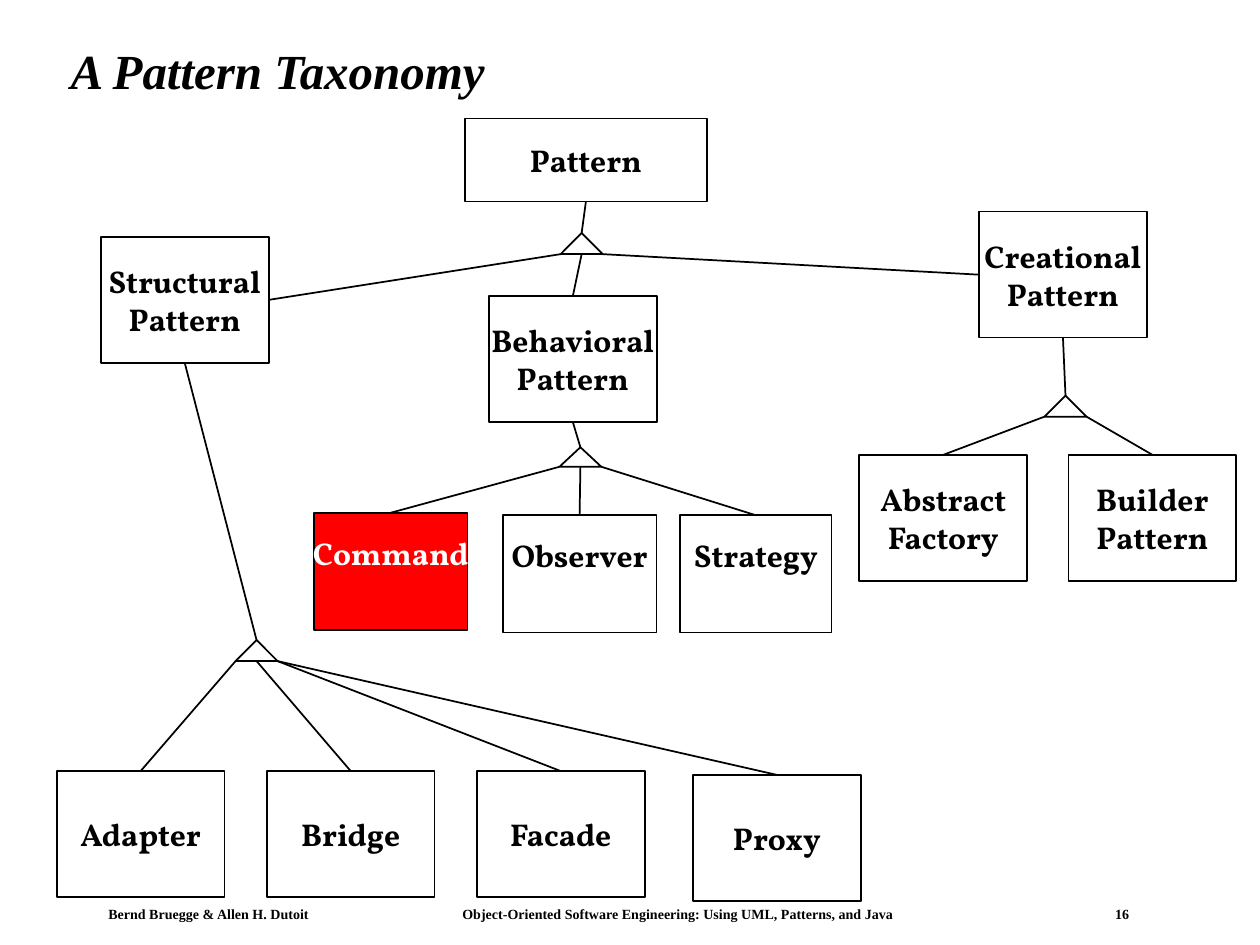
from dataclasses import dataclass

from lxml.etree import SubElement
from pptx import Presentation
from pptx.dml.color import RGBColor
from pptx.enum.shapes import MSO_CONNECTOR, MSO_SHAPE
from pptx.enum.text import MSO_ANCHOR, MSO_AUTO_SIZE, PP_ALIGN
from pptx.oxml.ns import qn
from pptx.util import Inches, Pt

HUES = {"ink": "000000", "paper": "FFFFFF", "mark": "FF0000"}
SERIF, BODY = "Times New Roman", "Vollkorn"
COLS = 100  # columns across the slide; rows have the same size
WIDE, HIGH = Inches(10), Inches(7.5)
TOP, LEFT, BASE, RIGHT = range(4)  # connection sites of a rectangle


@dataclass
class Node:
    text: str
    x: float
    y: float
    w: float = 13.33
    h: float = 10
    fill: str = "paper"
    ink: str = "ink"
    pad: float = 0.5  # inset below the text, in rows


@dataclass
class Fork:
    root: str
    x: float
    y: float
    kids: list[tuple[str, float, int]]  # child, share of the base, child side
    w: float = 3.33
    h: float = 1.67


NODES = [
    Node("Pattern", 36.9, 9.4, 19.2, 6.6),
    Node("Structural\nPattern", 8, 18.8),
    Node("Behavioral\nPattern", 38.8, 23.5),
    Node("Creational\nPattern", 77.7, 16.8),
    *[Node(word, 4.5 + 16.67 * i, 61.2)
      for i, word in enumerate(["Adapter", "Bridge", "Facade"])],
    Node("Proxy", 55, 61.5),
    Node("Command", 24.9, 40.7, 12.2, 9.3, "mark", "paper", 3.5),
    Node("Observer", 39.9, 40.9, 12.2, 9.3, pad=3.5),
    Node("Strategy", 54, 40.9, 12, 9.3, pad=3.5),
    Node("Abstract\nFactory", 68.2, 36.1),
    Node("Builder\nPattern", 84.8, 36.1),
]
FORKS = [
    Fork("Pattern", 44.5, 18.5, [("Structural", 0, RIGHT),
                                 ("Behavioral", 0.5, TOP),
                                 ("Creational", 1, LEFT)]),
    Fork("Structural", 18.7, 50.8, [("Adapter", 0, TOP), ("Bridge", 0.5, TOP),
                                    ("Facade", 1, TOP), ("Proxy", 1, TOP)]),
    Fork("Behavioral", 44.4, 35.5, [("Command", 0, TOP),
                                    ("Observer", 0.5, TOP),
                                    ("Strategy", 1, TOP)], h=1.55),
    Fork("Creational", 82.9, 31.4, [("Abstract", 0, TOP),
                                    ("Builder", 1, TOP)]),
]


def grid(n: float) -> int:
    return round(WIDE * n / COLS)


def tone(name: str) -> RGBColor:
    return RGBColor.from_string(HUES[name])


def style(font, ink: str = "ink", **form) -> None:
    for key, val in {"bold": True, **form}.items():
        setattr(font, key, val)
    font.color.rgb = tone(ink)


def shape(slide, kind, part: Node | Fork, fill: str = "paper"):
    item = slide.shapes.add_shape(kind, *map(grid, (part.x, part.y,
                                                    part.w, part.h)))
    item.shadow.inherit = False
    item.fill.solid()
    item.fill.fore_color.rgb = tone(fill)
    item.line.color.rgb = tone("ink")
    item.line.width = Pt(1)
    return item


def box(slide, node: Node):
    item = shape(slide, MSO_SHAPE.RECTANGLE, node, node.fill)
    frame = item.text_frame
    frame.text = node.text
    form = {"word_wrap": False, "vertical_anchor": MSO_ANCHOR.MIDDLE,
            "margin_bottom": grid(node.pad)}
    for key, val in form.items():
        setattr(frame, key, val)
    for para in frame.paragraphs:
        para.alignment = PP_ALIGN.CENTER
        style(para.font, node.ink, name=BODY, size=Pt(18))
    return item


def link(slide, x: float, y: float, head, site: int):
    line = slide.shapes.add_connector(MSO_CONNECTOR.STRAIGHT, grid(x), grid(y),
                                      grid(x), grid(y))
    line.end_connect(head, site)
    line.line.color.rgb = tone("ink")
    line.line.width = Pt(1)
    SubElement(line._element.spPr, qn("a:effectLst"))
    return line


def fork(slide, part: Fork, boxes: dict) -> None:
    peak = shape(slide, MSO_SHAPE.ISOSCELES_TRIANGLE, part)
    stem = link(slide, part.x + part.w / 2, part.y, boxes[part.root], BASE)
    stem.begin_connect(peak, TOP)
    for name, share, site in part.kids:
        link(slide, part.x + part.w * share, part.y + part.h,
             boxes[name], site)


def title(slide, text: str) -> None:
    item = slide.shapes.title
    spot = {"left": 4.6, "top": 2, "width": 89.2, "height": 7.7}
    for key, val in spot.items():
        setattr(item, key, grid(val))
    frame = item.text_frame
    frame.text = text
    frame.auto_size = MSO_AUTO_SIZE.NONE
    frame.vertical_anchor = MSO_ANCHOR.MIDDLE
    para = frame.paragraphs[0]
    para.alignment = PP_ALIGN.LEFT
    para.line_spacing = 0.9
    style(para.font, name=SERIF, size=Pt(28), italic=True)


def footer(slide, parts: list[str], stops: list[float]) -> None:
    item = slide.shapes.add_textbox(*map(grid, (7.8, 71.5, 82.7, 2.1)))
    frame = item.text_frame
    frame.word_wrap = True
    for side in ("left", "right", "top", "bottom"):
        thick = 0.8 if side in ("left", "right") else 0.4
        setattr(frame, f"margin_{side}", grid(thick))
    para = frame.paragraphs[0]
    para.text = "\t".join(parts)
    tabs = SubElement(para._p.get_or_add_pPr(), qn("a:tabLst"))
    for stop in stops:
        SubElement(tabs, qn("a:tab"), pos=str(grid(stop)), algn="l")
    style(para.font, name=SERIF, size=Pt(8))


def main() -> None:
    deck = Presentation()
    deck.slide_width, deck.slide_height = WIDE, HIGH
    slide = deck.slides.add_slide(deck.slide_layouts.get_by_name("Title Only"))

    # Title and footer
    title(slide, "A Pattern Taxonomy")
    footer(slide, ["Bernd Bruegge & Allen H. Dutoit",
                   "Object-Oriented Software Engineering: "
                   "Using UML, Patterns, and Java", "16"], [28.1, 79.9])

    # Class boxes, known by their first line
    boxes = {node.text.split("\n")[0]: box(slide, node) for node in NODES}

    # Inheritance triangles with their lines
    for part in FORKS:
        fork(slide, part, boxes)
    deck.save("out.pptx")


if __name__ == "__main__":
    main()
